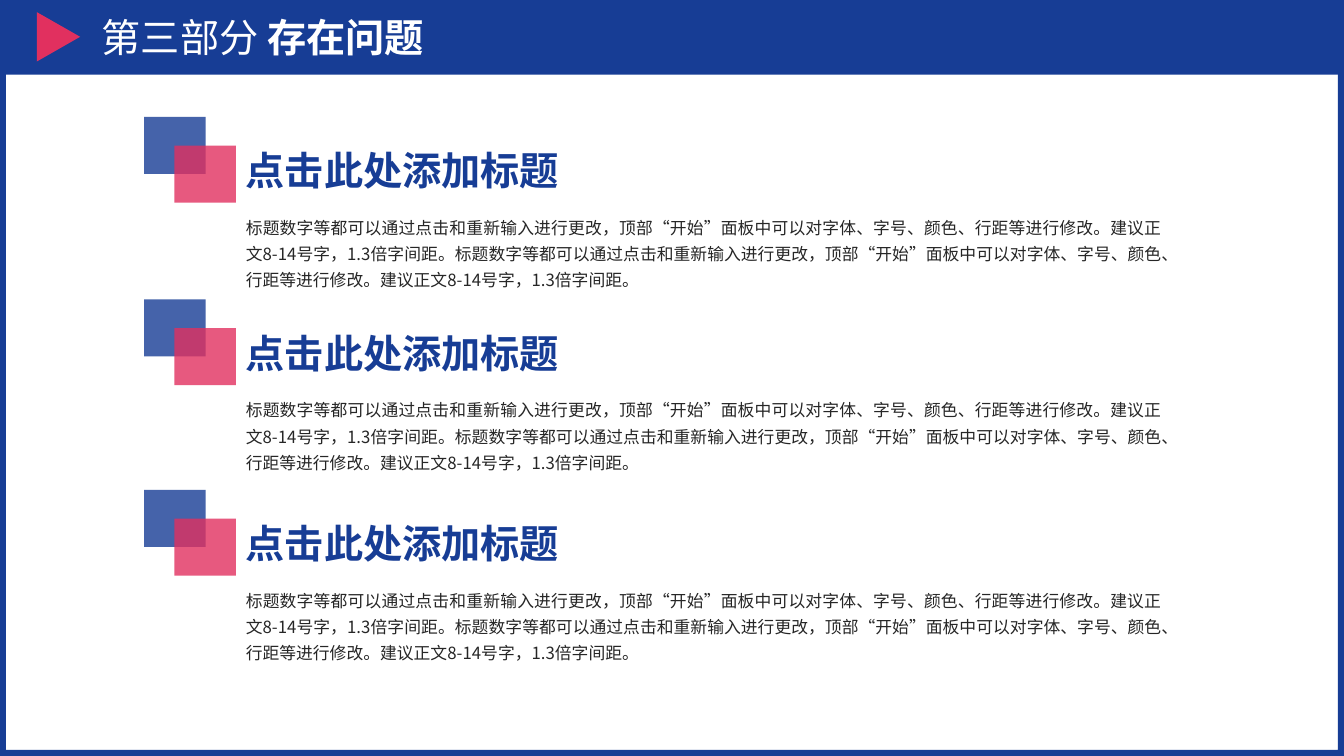
from dataclasses import dataclass

import pptx
import pptx.dml.color
import pptx.enum.shapes
import pptx.enum.text
import pptx.oxml.ns
import pptx.oxml.xmlchemy
import pptx.shapes.autoshape
import pptx.slide
import pptx.text.text
import pptx.util

RGBColor = pptx.dml.color.RGBColor
Shape = pptx.shapes.autoshape.Shape
Slide = pptx.slide.Slide
Preset = pptx.enum.shapes.MSO_SHAPE
AutoSize = pptx.enum.text.MSO_AUTO_SIZE
Align = pptx.enum.text.PP_ALIGN

BLUE = RGBColor(0x17, 0x3D, 0x95)
RED = RGBColor(0xE1, 0x30, 0x5F)
WHITE = RGBColor(0xFF, 0xFF, 0xFF)
DARK = RGBColor(0x26, 0x26, 0x26)
FONT = "Noto Sans CJK SC"

# Grid of square cells, ten to the inch
COLUMNS, ROWS = 133.33, 75
BAND_ROWS = 7.4
SQUARE_ALPHA = 80

HEADING = "点击此处添加标题"
SENTENCE = (
    "标题数字等都可以通过点击和重新输入进行更改，顶部“开始”面板中可以对"
    "字体、字号、颜色、行距等进行修改。建议正文8-14号字，1.3倍字间距。"
)


@dataclass(frozen=True)
class Box:
    column: float
    row: float
    columns: float
    rows: float

    def lower(self, rows: float) -> "Box":
        return Box(self.column, self.row + rows, self.columns, self.rows)

    def lengths(self) -> list[pptx.util.Length]:
        cells = (self.column, self.row, self.columns, self.rows)
        return [pptx.util.Inches(cell / 10) for cell in cells]


@dataclass(frozen=True)
class Section:
    row: float
    heading: str
    body: str


SECTIONS = [Section(row, HEADING, SENTENCE * 2) for row in (11.6, 29.7, 48.6)]

# Parts of a section, measured from its top row
BACK_SQUARE = Box(14.3, 0, 6.1, 5.65)
FRONT_SQUARE = Box(17.3, 2.85, 6.1, 5.65)
HEADING_BOX = Box(23.4, 2.45, 33.4, 5.7)
BODY_BOX = Box(23.4, 8.9, 92.9, 8.9)


def add_filled(slide: Slide, preset: Preset, box: Box, color: RGBColor,
               alpha: int = 100) -> Shape:
    shape = slide.shapes.add_shape(preset, *box.lengths())
    shape.shadow.inherit = False
    shape.fill.solid()
    shape.fill.fore_color.rgb = color
    shape.line.fill.background()
    if alpha < 100:
        color_node = shape.fill._xPr.find(".//" + pptx.oxml.ns.qn("a:srgbClr"))
        node = pptx.oxml.xmlchemy.OxmlElement("a:alpha")
        node.set("val", str(alpha * 1000))
        color_node.append(node)
    return shape


def set_font(font: pptx.text.text.Font, size: float, color: RGBColor,
             bold: bool = False) -> None:
    font.size = pptx.util.Pt(size)
    font.bold = bold
    font.color.rgb = color
    font.name = FONT
    east_asian = pptx.oxml.xmlchemy.OxmlElement("a:ea")
    east_asian.set("typeface", FONT)
    font._rPr.append(east_asian)


def add_text(slide: Slide, box: Box, text: str, size: float, color: RGBColor,
             bold: bool = False, wrap: bool = True) -> pptx.text.text._Paragraph:
    frame = slide.shapes.add_textbox(*box.lengths()).text_frame
    frame.word_wrap = wrap
    frame.auto_size = AutoSize.SHAPE_TO_FIT_TEXT
    paragraph = frame.paragraphs[0]
    paragraph.text = text
    set_font(paragraph.font, size, color, bold)
    return paragraph


def add_header(slide: Slide) -> None:
    # Border, band and marker
    border = add_filled(slide, Preset.FRAME, Box(0, 0, COLUMNS, ROWS), BLUE)
    border.adjustments[0] = 0.008
    add_filled(slide, Preset.RECTANGLE, Box(0, 0, COLUMNS, BAND_ROWS), BLUE)
    marker = add_filled(slide, Preset.ISOSCELES_TRIANGLE,
                        Box(3.35, 1.5, 4.9, 4.3), RED)
    marker.rotation = 90

    # Title, brought in front of the band
    title = slide.shapes.title
    slide.shapes._spTree.append(title._element)
    title.left, title.top, title.width, title.height = Box(
        9.1, 0, 119.8, BAND_ROWS).lengths()
    frame = title.text_frame
    frame.auto_size = AutoSize.NONE
    frame.vertical_anchor = pptx.enum.text.MSO_ANCHOR.MIDDLE
    paragraph = frame.paragraphs[0]
    paragraph.alignment = Align.LEFT
    paragraph.space_before = pptx.util.Pt(10)
    for text, bold in (("第三部分 ", False), ("存在问题", True)):
        run = paragraph.add_run()
        run.text = text
        set_font(run.font, 28, WHITE, bold)


def add_section(slide: Slide, section: Section) -> None:
    for square, color in ((BACK_SQUARE, BLUE), (FRONT_SQUARE, RED)):
        add_filled(slide, Preset.RECTANGLE, square.lower(section.row), color,
                   SQUARE_ALPHA)
    add_text(slide, HEADING_BOX.lower(section.row), section.heading, 28, BLUE,
             bold=True, wrap=False)
    body = add_text(slide, BODY_BOX.lower(section.row), section.body, 12, DARK)
    body.alignment = Align.JUSTIFY
    body.line_spacing = 1.3


def main() -> None:
    presentation = pptx.Presentation()
    presentation.slide_width = pptx.util.Inches(COLUMNS / 10)
    presentation.slide_height = pptx.util.Inches(ROWS / 10)
    title_only = presentation.slide_layouts.get_by_name("Title Only")
    slide = presentation.slides.add_slide(title_only)
    add_header(slide)
    for section in SECTIONS:
        add_section(slide, section)
    presentation.save("out.pptx")


if __name__ == "__main__":
    main()
